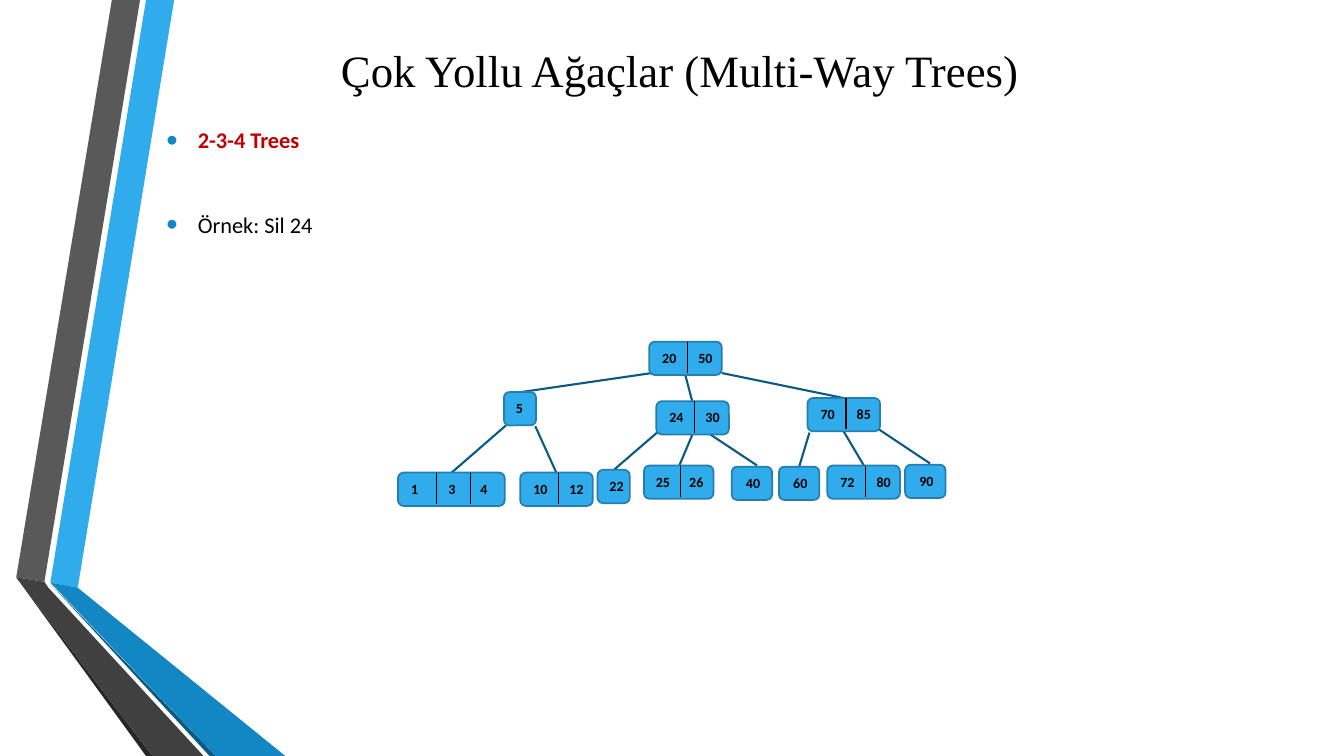
from lxml.etree import SubElement
from pptx import Presentation
from pptx.dml.color import RGBColor
from pptx.enum.shapes import MSO_CONNECTOR, MSO_SHAPE
from pptx.enum.text import MSO_ANCHOR, MSO_AUTO_SIZE, PP_ALIGN
from pptx.oxml.ns import qn
from pptx.util import Cm, Pt

BLACK = RGBColor(0x00, 0x00, 0x00)
RED = RGBColor(0xC0, 0x00, 0x00)
SKY = RGBColor(0x30, 0xAC, 0xEC)
BLUE = RGBColor(0x12, 0x87, 0xC3)
NAVY = RGBColor(0x0C, 0x5A, 0x82)
NODE_BORDER = RGBColor(0x24, 0x7F, 0xAF)
GREY = RGBColor(0x59, 0x59, 0x59)
DARK_GREY = RGBColor(0x40, 0x40, 0x40)
CHARCOAL = RGBColor(0x26, 0x26, 0x26)

# All coordinates below are in centimetres.
RIBBONS = [
    (SKY, [(1.27, 14.68), (1.96, 14.81), (4.39, 0), (3.68, 0)]),
    (GREY, [(3.53, 0), (2.82, 0), (0.41, 14.55), (1.12, 14.66)]),
    (CHARCOAL, [(0.41, 14.55), (3.68, 19.05), (3.84, 19.05)]),
    (NAVY, [(1.27, 14.71), (5.28, 19.05), (5.44, 19.05)]),
    (BLUE, [(1.27, 14.68), (5.44, 19.05), (7.19, 19.05), (1.96, 14.81)]),
    (DARK_GREY, [(0.41, 14.55), (3.84, 19.05), (5.13, 19.05),
                 (1.22, 14.81), (1.12, 14.66)]),
]

# Node layouts: width, key offsets, divider offsets
SINGLE = (0.81, [0.05], [])
WIDE_SINGLE = (1.02, [0.11], [])
NARROW_PAIR = (1.75, [0.05, 0.89], [0.91])
PAIR = (1.83, [0.08, 0.99], [0.97])
TRIPLE = (2.69, [0.08, 1.02, 1.83], [0.97, 1.83])
NODE_HEIGHT = 0.84
DIVIDER_HEIGHT = 0.79

NODES = [
    (16.36, 8.61, PAIR, ["20", "50"]),
    (12.70, 9.88, SINGLE, ["5"]),
    (16.54, 10.11, PAIR, ["24", "30"]),
    (20.35, 10.03, PAIR, ["70", "85"]),
    (10.03, 11.91, TRIPLE, ["1", "3", "4"]),
    (13.11, 11.91, PAIR, ["10", "12"]),
    (15.06, 11.84, SINGLE, ["22"]),
    (16.23, 11.73, NARROW_PAIR, ["25", "26"]),
    (18.44, 11.76, WIDE_SINGLE, ["40"]),
    (19.63, 11.76, WIDE_SINGLE, ["60"]),
    (20.85, 11.73, PAIR, ["72", "80"]),
    (22.81, 11.71, WIDE_SINGLE, ["90"]),
]

# Parent end, then child end
BRANCHES = [
    (16.43, 9.40, 13.13, 9.88),
    (17.27, 9.45, 17.45, 10.13),
    (18.19, 9.40, 21.26, 10.03),
    (12.75, 10.72, 11.38, 11.91),
    (13.49, 10.74, 14.02, 11.91),
    (16.56, 10.90, 15.47, 11.84),
    (17.45, 10.95, 17.12, 11.73),
    (17.86, 10.92, 19.08, 11.73),
    (20.40, 10.90, 20.14, 11.76),
    (21.26, 10.87, 21.77, 11.73),
    (22.15, 10.82, 23.44, 11.68),
]


def add_run(paragraph, text, size, color=BLACK, bold=False, font="Calibri"):
    run = paragraph.add_run()
    run.text = text
    run.font.name = font
    run.font.size = Pt(size)
    run.font.bold = bold
    run.font.color.rgb = color


def place(shape, left, top, width, height):
    shape.left, shape.top = Cm(left), Cm(top)
    shape.width, shape.height = Cm(width), Cm(height)


def add_ribbon(slide, color, corners):
    points = [(Cm(x), Cm(y)) for x, y in corners]
    builder = slide.shapes.build_freeform(*points[0])
    builder.add_line_segments(points[1:], close=True)
    ribbon = builder.convert_to_shape()
    ribbon.shadow.inherit = False
    ribbon.fill.solid()
    ribbon.fill.fore_color.rgb = color
    ribbon.line.fill.background()


def add_line(slide, ends, color, width):
    line = slide.shapes.add_connector(MSO_CONNECTOR.STRAIGHT, *map(Cm, ends))
    line.line.color.rgb = color
    line.line.width = Pt(width)
    SubElement(line._element.spPr, qn("a:effectLst"))


def add_key(slide, left, top, key):
    box = slide.shapes.add_textbox(Cm(left), Cm(top), Cm(0.91), Cm(0.69))
    box.text_frame.word_wrap = True
    add_run(box.text_frame.paragraphs[0], key, 10, bold=True)


def add_node(slide, left, top, layout, keys):
    width, key_offsets, divider_offsets = layout
    node = slide.shapes.add_shape(
        MSO_SHAPE.ROUNDED_RECTANGLE, Cm(left), Cm(top), Cm(width), Cm(NODE_HEIGHT))
    node.shadow.inherit = False
    node.fill.solid()
    node.fill.fore_color.rgb = SKY
    node.line.color.rgb = NODE_BORDER
    node.line.width = Pt(1.25)
    for offset in divider_offsets:
        x = left + offset
        add_line(slide, (x, top, x, top + DIVIDER_HEIGHT), BLACK, 0.75)
    for offset, key in zip(key_offsets, keys):
        add_key(slide, left + offset, top + 0.07, key)


def format_bullet(paragraph, space_before):
    paragraph.line_spacing = 1.5
    paragraph.space_before = Pt(space_before)
    paragraph.space_after = Pt(0)
    properties = paragraph._p.get_or_add_pPr()
    properties.set("marL", str(Cm(0.79)))
    properties.set("indent", str(-Cm(0.79)))
    color = SubElement(properties, qn("a:buClr"))
    SubElement(color, qn("a:srgbClr"), val=str(BLUE))
    SubElement(properties, qn("a:buSzPct"), val="145000")
    SubElement(properties, qn("a:buFont"), typeface="Arial")
    SubElement(properties, qn("a:buChar"), char="•")


def fill_title(title):
    place(title, 3.94, 0.43, 26.39, 2.64)
    title.text_frame.vertical_anchor = MSO_ANCHOR.MIDDLE
    heading = title.text_frame.paragraphs[0]
    heading.alignment = PP_ALIGN.CENTER
    add_run(heading, "Çok Yollu Ağaçlar (Multi-Way Trees)", 32, font="Times New Roman")


def fill_body(body):
    place(body, 3.94, 2.72, 26.39, 5.66)
    frame = body.text_frame
    frame.auto_size = MSO_AUTO_SIZE.NONE
    frame.vertical_anchor = MSO_ANCHOR.TOP
    topic = frame.paragraphs[0]
    topic.alignment = PP_ALIGN.JUSTIFY
    format_bullet(topic, 0)
    add_run(topic, "2-3-4 Trees", 16, RED, bold=True)
    example = frame.add_paragraph()
    example.alignment = PP_ALIGN.LEFT
    format_bullet(example, 31.4)
    add_run(example, "Örnek: Sil 24", 16)


def main():
    deck = Presentation()
    deck.slide_width, deck.slide_height = Cm(33.87), Cm(19.05)
    slide = deck.slides.add_slide(deck.slide_layouts[1])
    for color, corners in RIBBONS:
        add_ribbon(slide, color, corners)
    fill_title(slide.shapes.title)
    fill_body(slide.placeholders[1])
    for ends in BRANCHES:
        add_line(slide, ends, NAVY, 1.5)
    for left, top, layout, keys in NODES:
        add_node(slide, left, top, layout, keys)
    deck.save("out.pptx")


if __name__ == "__main__":
    main()
